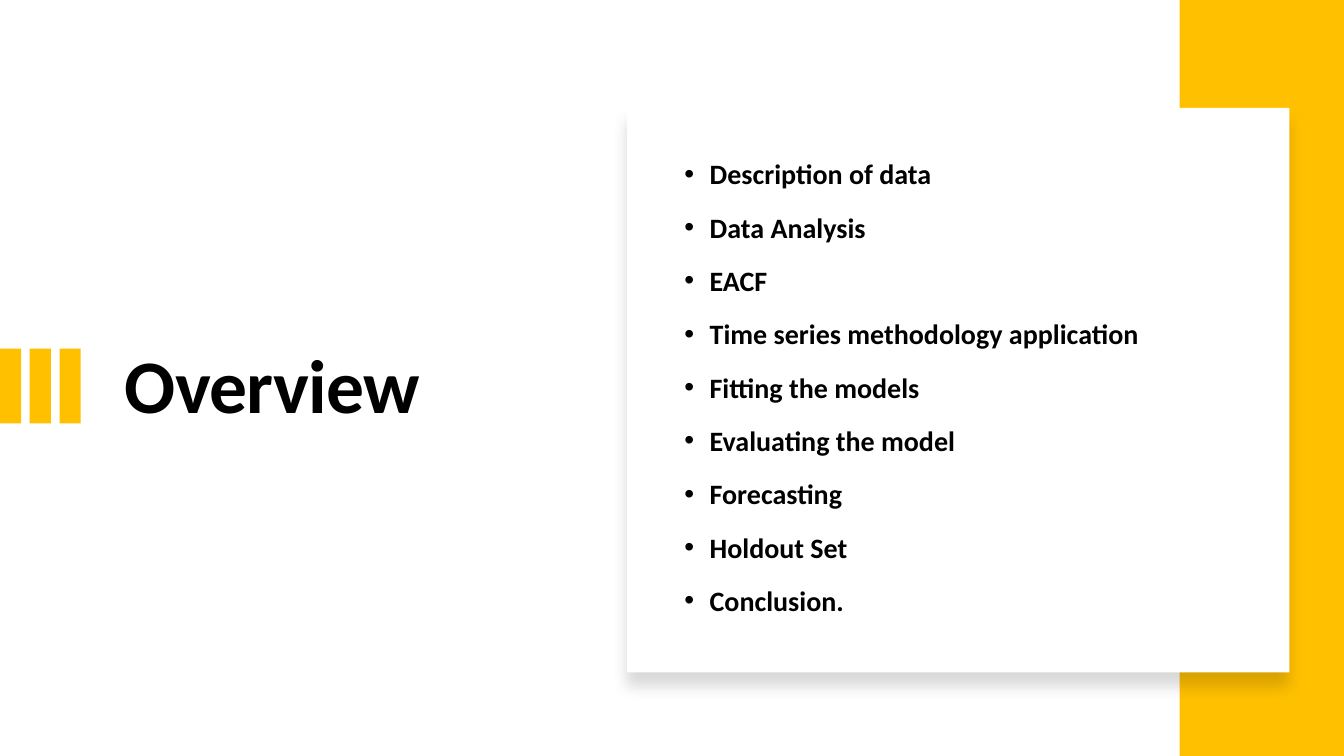
from lxml import etree
from pptx import Presentation
from pptx.dml.color import RGBColor
from pptx.enum.shapes import MSO_SHAPE
from pptx.enum.text import MSO_ANCHOR
from pptx.oxml import parse_xml
from pptx.oxml.ns import nsdecls, qn
from pptx.util import Inches, Pt

RECT = MSO_SHAPE.RECTANGLE
MIDDLE = MSO_ANCHOR.MIDDLE
GOLD = RGBColor(0xFF, 0xC0, 0x00)
WHITE = RGBColor(0xFF, 0xFF, 0xFF)
BLACK = RGBColor(0x00, 0x00, 0x00)

SLIDE_W, SLIDE_H = 13.33, 7.5
BAND_W = 1.63
STRIPE_W, STRIPE_H, STRIPE_TOP, STRIPE_STEP = 0.21, 0.74, 3.46, 0.295
CARD_X, CARD_Y, CARD_W, CARD_H = 6.22, 1.07, 6.57, 5.6
INSET = 0.41

TOPICS = [
    "Description of data",
    "Data Analysis",
    "EACF",
    "Time series methodology application",
    "Fitting the models",
    "Evaluating the model",
    "Forecasting",
    "Holdout Set",
    "Conclusion.",
]

prs = Presentation()
prs.slide_width, prs.slide_height = Inches(SLIDE_W), Inches(SLIDE_H)
slide = prs.slides.add_slide(prs.slide_layouts[6])


def add_rect(x, y, w, h, color):
    sp = slide.shapes.add_shape(RECT, Inches(x), Inches(y), Inches(w), Inches(h))
    sp.fill.solid()
    sp.fill.fore_color.rgb = color
    sp.line.fill.background()
    sp.shadow.inherit = False
    return sp


def add_text(lines, x, y, w, h, size, spacing, gap=0, bullet=None, tracking=0):
    """Add bold, vertically centred paragraphs; gap is the space between them in points."""
    tf = slide.shapes.add_textbox(Inches(x), Inches(y), Inches(w), Inches(h)).text_frame
    tf.word_wrap = True
    tf.vertical_anchor = MIDDLE
    for i, line in enumerate(lines):
        p = tf.add_paragraph() if i else tf.paragraphs[0]
        p.line_spacing = spacing
        p.space_before = Pt(gap if i else 0)
        r = p.add_run()
        r.text = line
        r.font.name, r.font.size, r.font.bold = "Calibri", Pt(size), True
        r.font.color.rgb = BLACK
        if tracking:
            r.font._element.set("spc", str(int(tracking * 100)))
        if bullet:
            pPr = p._p.get_or_add_pPr()
            pPr.set("marL", str(Inches(0.31)))
            pPr.set("indent", str(Inches(-0.25)))
            etree.SubElement(pPr, qn("a:buFont")).set("typeface", "Arial")
            etree.SubElement(pPr, qn("a:buChar")).set("char", bullet)


add_text(["Overview"], 1.14, 1.46, 4.26, 4.79, size=54, spacing=0.9, tracking=-0.5)

for i in range(3):
    add_rect(i * STRIPE_STEP, STRIPE_TOP, STRIPE_W, STRIPE_H, GOLD)

add_rect(SLIDE_W - BAND_W, 0, BAND_W, SLIDE_H, GOLD)

card = add_rect(CARD_X, CARD_Y, CARD_W, CARD_H, WHITE)
card._element.spPr.find(qn("a:effectLst")).append(parse_xml(
    f'<a:outerShdw {nsdecls("a")} blurRad="{Pt(11)}" dist="{Pt(10)}" dir="5400000" '
    'algn="t" rotWithShape="0"><a:srgbClr val="000000"><a:alpha val="15000"/>'
    '</a:srgbClr></a:outerShdw>'))

add_text(TOPICS, CARD_X + INSET, CARD_Y + INSET, CARD_W - 2 * INSET, CARD_H - 2 * INSET,
         size=20, spacing=0.8, gap=18.9, bullet="•")

prs.save("out.pptx")
